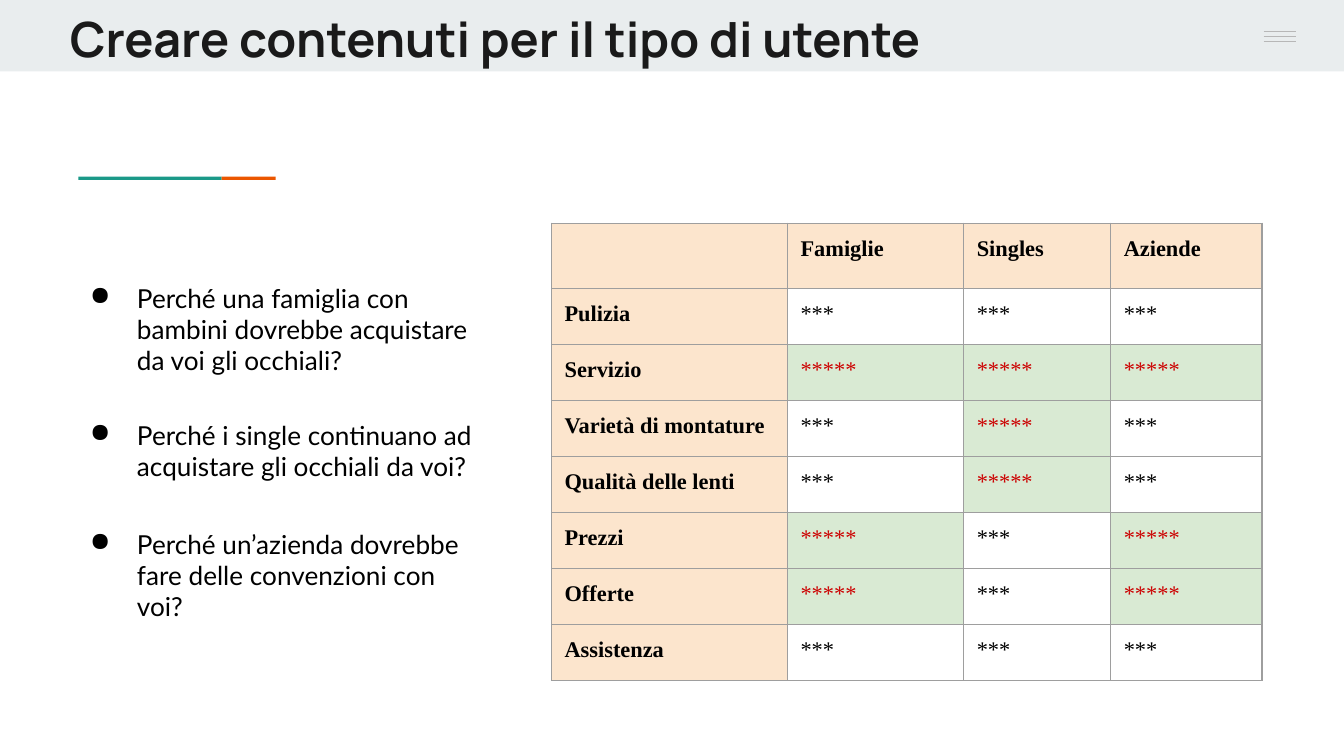
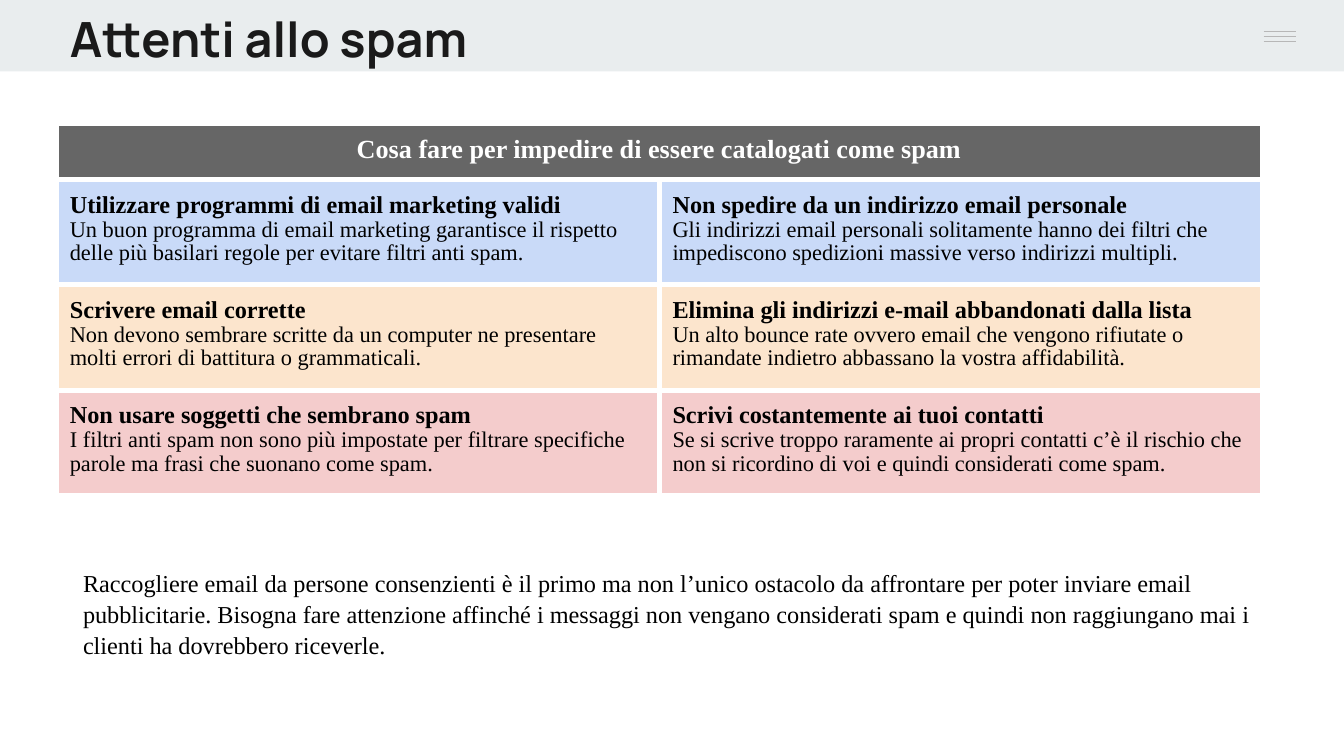
from lxml import etree
from pptx import Presentation
from pptx.dml.color import RGBColor as RGB
from pptx.enum.shapes import MSO_CONNECTOR as Conn, MSO_SHAPE as Geo
from pptx.enum.text import MSO_ANCHOR as Anchor, PP_ALIGN as Align
from pptx.oxml.ns import qn
from pptx.util import Cm, Pt

WHITE = RGB(0xFF, 0xFF, 0xFF)
BLACK = RGB(0x00, 0x00, 0x00)
INK = RGB(0x1A, 0x1A, 0x1A)
BAND = RGB(0xE9, 0xED, 0xEE)
TEAL = RGB(0x1A, 0x99, 0x88)
ORANGE = RGB(0xEB, 0x56, 0x00)
SILVER = RGB(0xB7, 0xB7, 0xB7)
GRID = RGB(0x9E, 0x9E, 0x9E)
SLATE = RGB(0x66, 0x66, 0x66)
PEACH = RGB(0xFC, 0xE5, 0xCD)
MINT = RGB(0xD9, 0xEA, 0xD3)
SKY = RGB(0xC9, 0xDA, 0xF8)
ROSE = RGB(0xF4, 0xCC, 0xCC)
RED = RGB(0xCC, 0x00, 0x00)

HEAD, BODY, SERIF = "Manrope", "Lato", "Times New Roman"
INSET = Cm(0.25)


def write(para, text, *, size=12, font=SERIF, color=BLACK, bold=False,
          align=Align.LEFT, line=None):
    """Put one formatted run into a paragraph."""
    para.alignment = align
    if line:
        para.line_spacing = line
    run = para.add_run()
    run.text = text
    run.font.size = Pt(size)
    run.font.name = font
    run.font.bold = bold
    run.font.color.rgb = color


def inset(box):
    box.margin_left = box.margin_right = INSET
    box.margin_top = box.margin_bottom = INSET


def bullet(para):
    props = para._p.get_or_add_pPr()
    props.set("marL", str(Cm(1.27)))
    props.set("indent", str(-Cm(0.89)))
    tint = etree.SubElement(props, qn("a:buClr"))
    etree.SubElement(tint, qn("a:srgbClr"), val=str(BLACK))
    etree.SubElement(props, qn("a:buChar"), char="●")


def border(cell, color, width):
    props = cell._tc.get_or_add_tcPr()
    for side in ("lnL", "lnR", "lnT", "lnB"):
        edge = etree.SubElement(props, qn("a:" + side), w=str(Pt(width)))
        fill = etree.SubElement(edge, qn("a:solidFill"))
        etree.SubElement(fill, qn("a:srgbClr"), val=str(color))


class Deck:
    """Holds the style and the current slide; lengths are in cm."""

    def __init__(self):
        self.prs = Presentation()
        self.prs.slide_width, self.prs.slide_height = Cm(25.4), Cm(14.29)
        self.shapes = None

    def start(self, title):
        slide = self.prs.slides.add_slide(self.prs.slide_layouts[6])
        self.shapes = slide.shapes
        # Top band and menu mark
        self.rect(0, 0, 25.4, 1.35, BAND)
        self.rect(23, 0, 2.4, 1.27, BAND)
        for i in range(3):
            self.rule(23.88, 0.59 + 0.1 * i, 0.61)
        self.text(1.07, 0, 21.36, 1.5, title, size=26, font=HEAD,
                  color=INK, bold=True, line=0.95)

    def rect(self, x, y, w, h, color):
        shape = self.shapes.add_shape(Geo.RECTANGLE, Cm(x), Cm(y), Cm(w), Cm(h))
        shape.shadow.inherit = False
        shape.fill.solid()
        shape.fill.fore_color.rgb = color
        shape.line.fill.background()
        return shape

    def rule(self, x, y, w):
        line = self.shapes.add_connector(Conn.STRAIGHT, Cm(x), Cm(y), Cm(x + w), Cm(y))
        line.line.color.rgb = SILVER
        line.line.width = Pt(0.75)
        etree.SubElement(line._element.spPr, qn("a:effectLst"))

    def text(self, x, y, w, h, text, fill=None, dot=False, **fmt):
        if fill is None:
            box = self.shapes.add_textbox(Cm(x), Cm(y), Cm(w), Cm(h))
        else:
            box = self.rect(x, y, w, h, fill)
        frame = box.text_frame
        frame.word_wrap = True
        frame.vertical_anchor = Anchor.TOP
        inset(frame)
        para = frame.paragraphs[0]
        if dot:
            bullet(para)
        write(para, text, **fmt)

    def table(self, x, y, cols, rows, edge, width):
        frame = self.shapes.add_table(len(rows), len(cols), Cm(x), Cm(y),
                                      Cm(sum(cols)), Cm(sum(rows)))
        grid = frame.table
        grid.first_row = grid.horz_banding = False
        for col, size in zip(grid.columns, cols):
            col.width = Cm(size)
        for row, size in zip(grid.rows, rows):
            row.height = Cm(size)
            for cell in row.cells:
                border(cell, edge, width)
        return grid

    def cell(self, cell, fill, *lines):
        """Fill a cell; each line is a pair of text and format."""
        cell.fill.solid()
        cell.fill.fore_color.rgb = fill
        if lines:
            inset(cell)
        frame = cell.text_frame
        for i, (text, fmt) in enumerate(lines):
            para = frame.add_paragraph() if i else frame.paragraphs[0]
            write(para, text, **fmt)


def users(deck):
    deck.start("Creare contenuti per il tipo di utente")
    # Accent line
    deck.rect(1.48, 3.34, 2.71, 0.06, TEAL)
    deck.rect(4.19, 3.34, 1.02, 0.06, ORANGE)
    # Questions
    for y, h, ask in (
        (5.08, 2.06, "Perché una famiglia con bambini dovrebbe acquistare da voi gli occhiali?"),
        (7.67, 1.57, "Perché i single continuano ad acquistare gli occhiali da voi?"),
        (9.73, 2.06, "Perché un’azienda dovrebbe fare delle convenzioni con voi?"),
    ):
        deck.text(1.07, y, 8.13, h, ask, dot=True, size=14, font=BODY)
    # Ratings by kind of customer
    heads = ("", "Famiglie", "Singles", "Aziende")
    rates = (
        ("Pulizia", 3, 3, 3),
        ("Servizio", 5, 5, 5),
        ("Varietà di montature", 3, 5, 3),
        ("Qualità delle lenti", 3, 5, 3),
        ("Prezzi", 5, 3, 5),
        ("Offerte", 5, 3, 5),
        ("Assistenza", 3, 3, 3),
    )
    grid = deck.table(10.42, 4.22, (4.46, 3.33, 2.78, 2.86),
                      [1.23] + [1.06] * len(rates), GRID, 0.75)
    strong = {"bold": True}
    for c, name in enumerate(heads):
        deck.cell(grid.cell(0, c), PEACH, *([(name, strong)] if name else []))
    for r, (name, *stars) in enumerate(rates, 1):
        deck.cell(grid.cell(r, 0), PEACH, (name, strong))
        for c, count in enumerate(stars, 1):
            top = count == 5
            deck.cell(grid.cell(r, c), MINT if top else WHITE,
                      ("*" * count, {"color": RED if top else BLACK}))


def spam(deck):
    deck.start("Attenti allo spam")
    # Closing remark
    deck.text(1.32, 10.46, 22.78, 2.03,
              "Raccogliere email da persone consenzienti è il primo ma non l’unico "
              "ostacolo da affrontare per poter inviare email pubblicitarie. Bisogna "
              "fare attenzione affinché i messaggi non vengano considerati spam e "
              "quindi non raggiungano mai i clienti ha dovrebbero riceverle.",
              fill=WHITE, size=13, line=1.06)
    # Advice table
    tips = (
        (SKY,
         ("Utilizzare programmi di email marketing validi",
          "Un buon programma di email marketing garantisce il rispetto delle più "
          "basilari regole per evitare filtri anti spam."),
         ("Non spedire da un indirizzo email personale",
          "Gli indirizzi email personali solitamente hanno dei filtri che "
          "impediscono spedizioni massive verso indirizzi multipli.")),
        (PEACH,
         ("Scrivere email corrette",
          "Non devono sembrare scritte da un computer ne presentare molti errori "
          "di battitura o grammaticali."),
         ("Elimina gli indirizzi e-mail abbandonati dalla lista",
          "Un alto bounce rate ovvero email che vengono rifiutate o rimandate "
          "indietro abbassano la vostra affidabilità.")),
        (ROSE,
         ("Non usare soggetti che sembrano spam",
          "I filtri anti spam non sono più impostate per filtrare specifiche "
          "parole ma frasi che suonano come spam."),
         ("Scrivi costantemente ai tuoi contatti",
          "Se si scrive troppo raramente ai propri contatti c’è il rischio che non "
          "si ricordino di voi e quindi considerati come spam.")),
    )
    grid = deck.table(1.07, 2.33, (11.39, 11.39),
                      [1.06] + [1.95] * len(tips), WHITE, 3)
    grid.cell(0, 0).merge(grid.cell(0, 1))
    deck.cell(grid.cell(0, 0), SLATE,
              ("Cosa fare per impedire di essere catalogati come spam",
               {"size": 14, "color": WHITE, "bold": True,
                "align": Align.CENTER, "line": 0.95}))
    for r, (fill, *pair) in enumerate(tips, 1):
        for c, (name, body) in enumerate(pair):
            deck.cell(grid.cell(r, c), fill,
                      (name, {"size": 13, "bold": True, "line": 0.95}),
                      (body, {"line": 0.95}))


def main():
    deck = Deck()
    users(deck)
    spam(deck)
    deck.prs.save("out.pptx")


if __name__ == "__main__":
    main()
